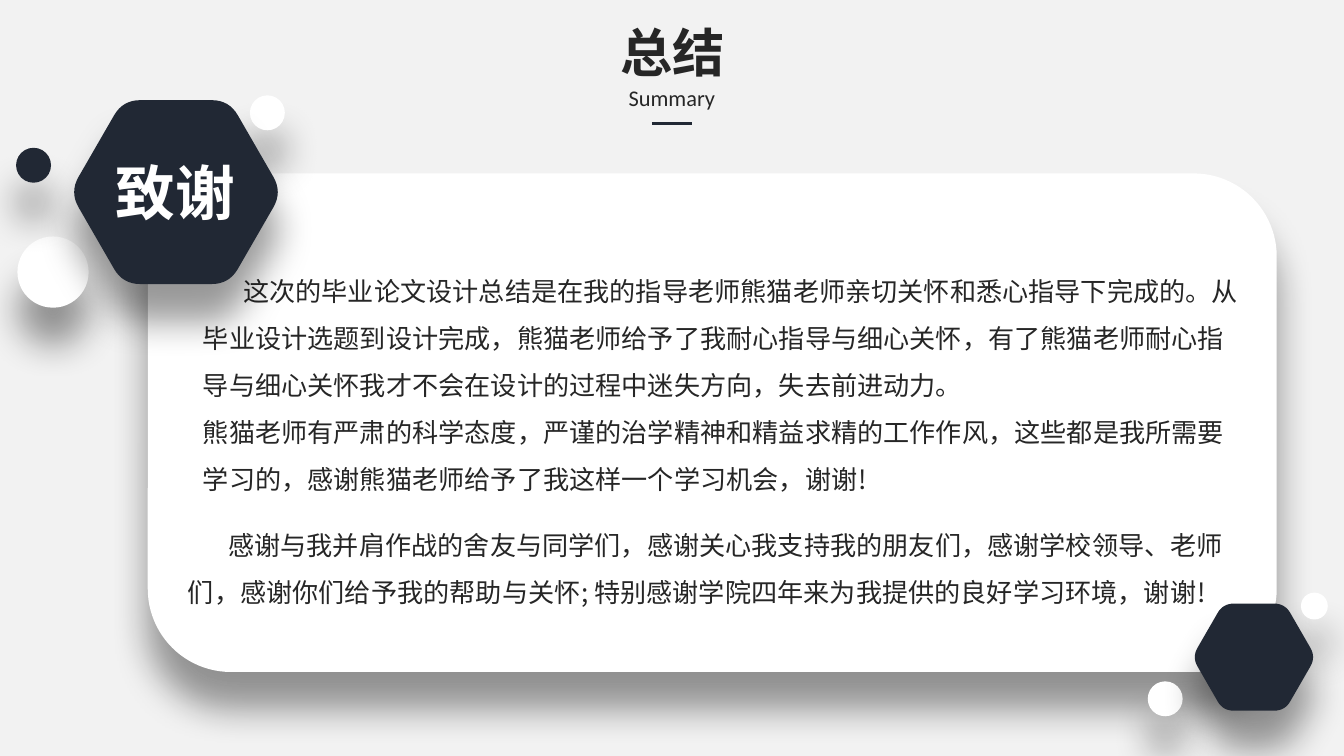
import math
from dataclasses import dataclass

from lxml import etree
from pptx import Presentation
from pptx.dml.color import RGBColor
from pptx.enum.shapes import MSO_CONNECTOR, MSO_SHAPE
from pptx.enum.text import MSO_ANCHOR, MSO_AUTO_SIZE, PP_ALIGN
from pptx.oxml.ns import qn
from pptx.util import Inches, Pt

ELLIPSE, ROUNDED = MSO_SHAPE.OVAL, MSO_SHAPE.ROUNDED_RECTANGLE
STRAIGHT = MSO_CONNECTOR.STRAIGHT
LEFT, CENTER = PP_ALIGN.LEFT, PP_ALIGN.CENTER
TOP, NO_FIT = MSO_ANCHOR.TOP, MSO_AUTO_SIZE.NONE

COLORS = {"background": "F2F2F2", "panel": "FFFFFF", "navy": "212834",
          "text": "262626", "shadow": "000000"}
CHINESE, ENGLISH = "Noto Sans CJK SC", "Calibri"


@dataclass
class Dot:
    left: float
    top: float
    size: float
    color: str


@dataclass
class Hexagon:
    center_x: float
    center_y: float
    radius: float
    corner: float  # length cut from each side at a corner


DOTS = [
    Dot(0.13, 1.76, 0.53, "panel"),
    Dot(0.12, 1.10, 0.26, "navy"),
    Dot(1.86, 0.71, 0.26, "panel"),
    Dot(8.54, 5.07, 0.26, "panel"),
    Dot(9.68, 4.41, 0.20, "panel"),
]
BADGE = Hexagon(1.31, 1.43, 0.79, 0.13)
CORNER_HEXAGON = Hexagon(9.33, 4.89, 0.46, 0.08)

TEACHER_THANKS = [
    "这次的毕业论文设计总结是在我的指导老师熊猫老师亲切关怀和悉心指导下完成的。"
    "从毕业设计选题到设计完成，熊猫老师给予了我耐心指导与细心关怀，"
    "有了熊猫老师耐心指导与细心关怀我才不会在设计的过程中迷失方向，失去前进动力。",
    "熊猫老师有严肃的科学态度，严谨的治学精神和精益求精的工作作风，"
    "这些都是我所需要学习的，感谢熊猫老师给予了我这样一个学习机会，谢谢!",
]
FRIENDS_THANKS = [
    "感谢与我并肩作战的舍友与同学们，感谢关心我支持我的朋友们，"
    "感谢学校领导、老师们，感谢你们给予我的帮助与关怀; "
    "特别感谢学院四年来为我提供的良好学习环境，谢谢!",
]


def rgb(name: str) -> RGBColor:
    return RGBColor.from_string(COLORS[name])


def paint(shape, color: str) -> None:
    """Plain fill, no outline, and a soft shadow straight below."""
    shape.fill.solid()
    shape.fill.fore_color.rgb = rgb(color)
    shape.line.fill.background()
    shape.shadow.inherit = False
    effects = shape._element.spPr.find(qn("a:effectLst"))
    shadow = etree.SubElement(effects, qn("a:outerShdw"), blurRad=str(Pt(20)),
                              dist=str(Pt(20)), dir="5400000", algn="t", rotWithShape="0")
    tint = etree.SubElement(shadow, qn("a:srgbClr"), val=COLORS["shadow"])
    etree.SubElement(tint, qn("a:alpha"), val="40000")


def draw_dot(slide, dot: Dot) -> None:
    size = Inches(dot.size)
    paint(slide.shapes.add_shape(ELLIPSE, Inches(dot.left), Inches(dot.top), size, size),
          dot.color)


def draw_hexagon(slide, hexagon: Hexagon, steps: int = 8) -> None:
    """Regular hexagon whose corners are rounded by quadratic curves."""
    corners = [(hexagon.center_x + hexagon.radius * math.cos(math.radians(60 * i)),
                hexagon.center_y + hexagon.radius * math.sin(math.radians(60 * i)))
               for i in range(6)]
    cut = hexagon.corner / hexagon.radius
    points = []
    for i, (x, y) in enumerate(corners):
        before, after = corners[i - 1], corners[(i + 1) % 6]
        for step in range(steps + 1):
            t = step / steps
            back, ahead = cut * (1 - t) ** 2, cut * t ** 2
            points.append((Inches(x + back * (before[0] - x) + ahead * (after[0] - x)),
                           Inches(y + back * (before[1] - y) + ahead * (after[1] - y))))
    builder = slide.shapes.build_freeform(*points[0])
    builder.add_line_segments(points[1:], close=True)
    paint(builder.convert_to_shape(), "navy")


def write(box, paragraphs: list[str], *, size: float, font: str = CHINESE,
          color: str = "text", bold: bool = False, align=LEFT, wrap: bool = True,
          spacing: float = 1.0, indent: float = 0) -> None:
    """Put formatted paragraphs in a box; only the first one is indented."""
    frame = box.text_frame
    frame.word_wrap, frame.auto_size, frame.vertical_anchor = wrap, NO_FIT, TOP
    for i, text in enumerate(paragraphs):
        paragraph = frame.paragraphs[0] if i == 0 else frame.add_paragraph()
        paragraph.alignment, paragraph.line_spacing = align, spacing
        paragraph.space_before = Pt(0)
        properties = paragraph._p.get_or_add_pPr()
        properties.set("marL", "0")
        properties.set("indent", str(Inches(0 if i else indent)))
        etree.SubElement(properties, qn("a:buNone"))
        run = paragraph.add_run()
        run.text = text
        run.font.size, run.font.bold, run.font.name = Pt(size), bold, font
        run.font.color.rgb = rgb(color)
        etree.SubElement(run._r.get_or_add_rPr(), qn("a:ea"), typeface=font)


def place(box, left: float, top: float, width: float, height: float) -> None:
    box.left, box.top = Inches(left), Inches(top)
    box.width, box.height = Inches(width), Inches(height)


def add_text_box(slide, left: float, top: float, width: float, height: float):
    return slide.shapes.add_textbox(Inches(left), Inches(top), Inches(width), Inches(height))


def main() -> None:
    # Widescreen page, 16 to 9
    deck = Presentation()
    deck.slide_width = Inches(10)
    deck.slide_height = deck.slide_width * 9 // 16
    slide = deck.slides.add_slide(deck.slide_layouts[1])
    slide.background.fill.solid()
    slide.background.fill.fore_color.rgb = rgb("background")

    # White panel and dots
    panel = slide.shapes.add_shape(ROUNDED, Inches(1.1), Inches(1.29),
                                   Inches(8.4), Inches(3.71))
    paint(panel, "panel")
    for dot in DOTS:
        draw_dot(slide, dot)

    # Thanks, with the placeholders raised above the panel
    title, teacher_box = slide.placeholders
    for placeholder in (teacher_box, title):
        slide.shapes._spTree.append(placeholder._element)
    place(teacher_box, 1.41, 1.88, 7.96, 1.83)
    write(teacher_box, TEACHER_THANKS, size=14, spacing=1.5, indent=0.3)
    friends_box = add_text_box(slide, 1.3, 3.77, 7.94, 0.81)
    write(friends_box, FRIENDS_THANKS, size=14, spacing=1.5, indent=0.3)

    # Hexagons and badge label
    draw_hexagon(slide, BADGE)
    badge_label = add_text_box(slide, 0.75, 1.11, 1.11, 0.64)
    write(badge_label, ["致谢"], size=32, color="panel", bold=True, align=CENTER)
    draw_hexagon(slide, CORNER_HEXAGON)

    # Heading
    place(title, 4.51, 0.1, 0.99, 0.57)
    write(title, ["总结"], size=28, bold=True, align=CENTER, wrap=False)
    subtitle = add_text_box(slide, 4.58, 0.58, 0.84, 0.3)
    write(subtitle, ["Summary"], size=12, font=ENGLISH, align=CENTER, wrap=False)
    underline = slide.shapes.add_connector(STRAIGHT, Inches(4.85), Inches(0.92),
                                           Inches(5.15), Inches(0.92))
    underline.line.color.rgb = rgb("navy")
    underline.line.width = Pt(1.5)
    etree.SubElement(underline._element.spPr, qn("a:effectLst"))

    deck.save("out.pptx")


if __name__ == "__main__":
    main()
